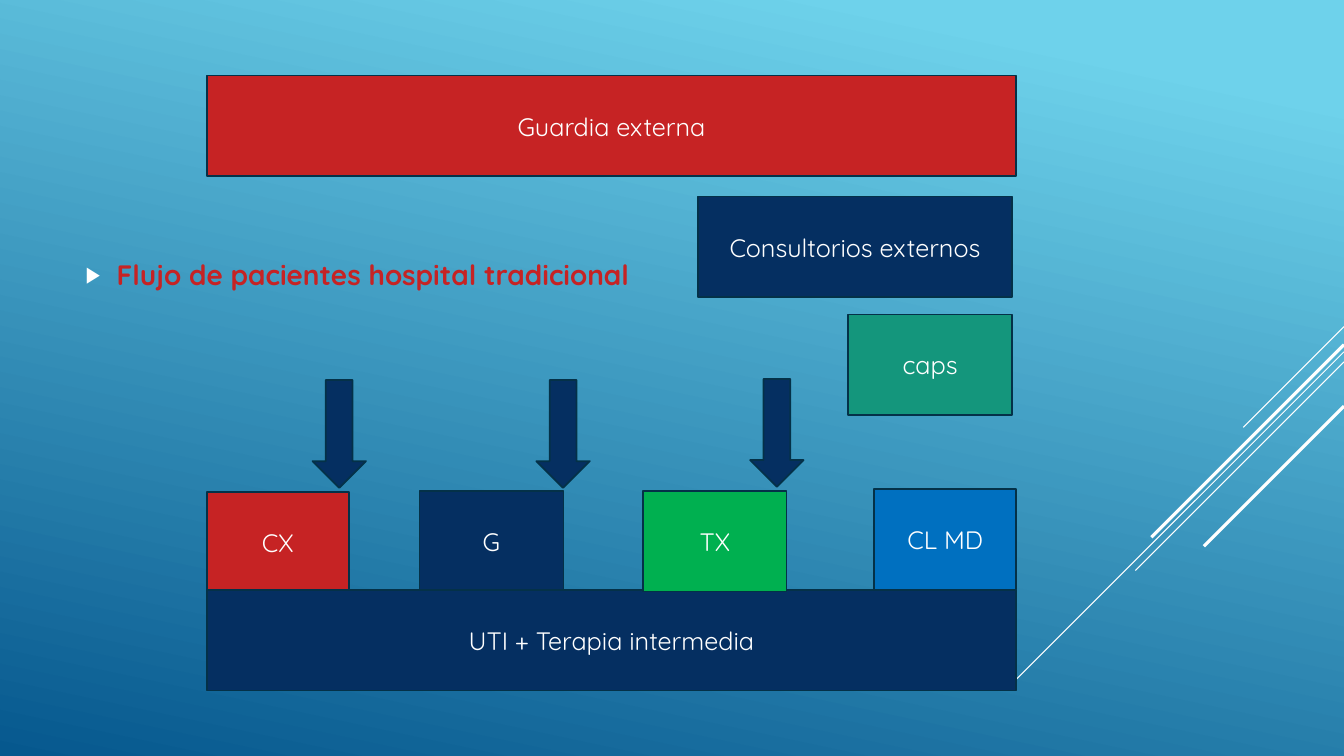
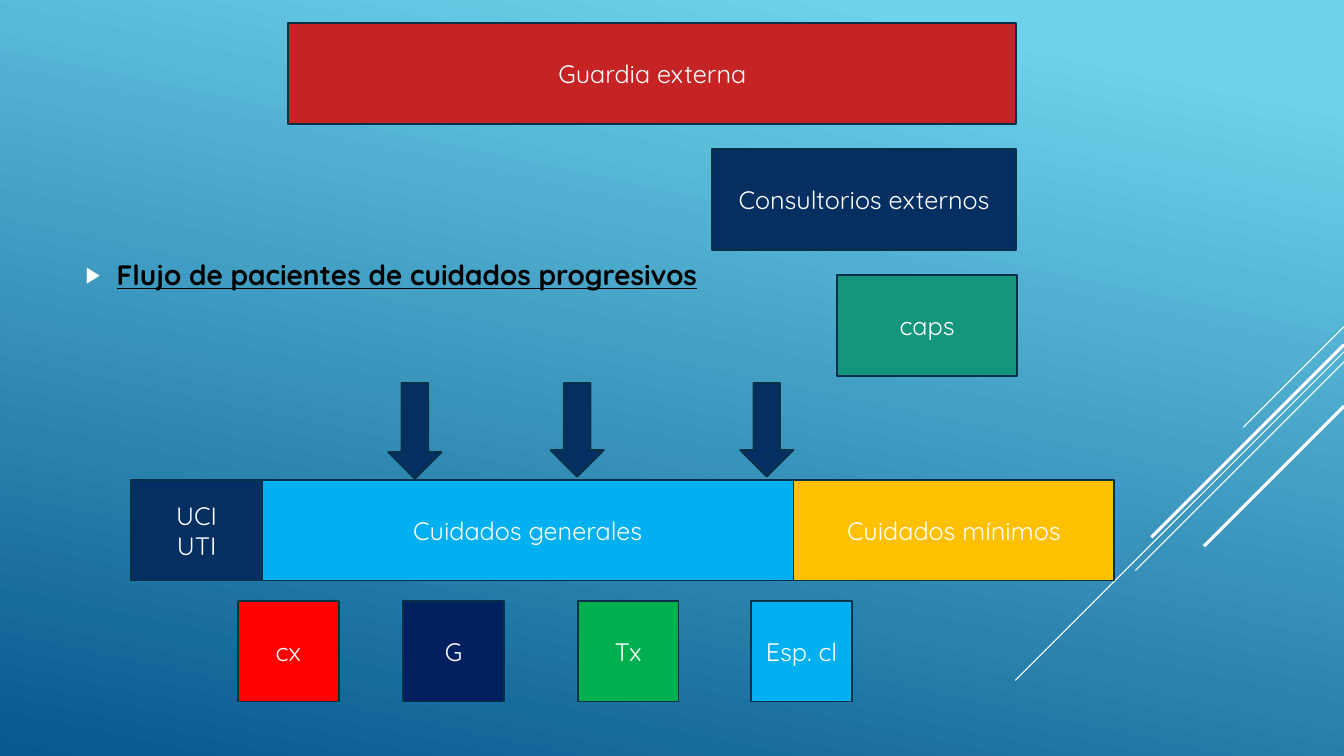
from lxml import etree
from pptx import Presentation
from pptx.dml.color import RGBColor
from pptx.enum.shapes import MSO_CONNECTOR, MSO_SHAPE
from pptx.enum.text import MSO_ANCHOR, PP_ALIGN
from pptx.oxml.ns import qn
from pptx.util import Inches, Pt

COLORS = {
    "sky": "6ED2EB", "deep": "06588E", "white": "FFFFFF", "black": "000000",
    "outline": "043148", "navy": "052F61", "midnight": "002060",
    "crimson": "C62324", "red": "FF0000", "green": "00B050", "teal": "14967C",
    "blue": "0070C0", "cyan": "00B0F0", "amber": "FFC000",
}
FONT = "Quicksand"
RIGHT_EDGE = 13.33
DIAGONALS = [(3.24, 1, 0.75), (3.49, 3.26, 0.75), (3.59, 2.07, 0.75),
             (3.42, 1.91, 2.25), (4.03, 1.39, 2.25)]
BOX_HEIGHT = 1
ARROW_WIDTH = 0.53


def rgb(name):
    return RGBColor.from_string(COLORS[name])


class Deck:
    def __init__(self):
        self.prs = Presentation()
        self.prs.slide_width = Inches(RIGHT_EDGE)
        self.prs.slide_height = Inches(7.5)
        self.s = None

    def slide(self):
        self.s = self.prs.slides.add_slide(self.prs.slide_layouts[6])
        fill = self.s.background.fill
        fill.gradient()
        fill.gradient_angle = 258
        for stop, (pos, color) in zip(fill.gradient_stops, [(0.1, "sky"), (1, "deep")]):
            stop.position = pos
            stop.color.rgb = rgb(color)
        for top, length, width in DIAGONALS:
            self.line(RIGHT_EDGE, top, RIGHT_EDGE - length, top + length, width)

    def line(self, x1, y1, x2, y2, width):
        ln = self.s.shapes.add_connector(
            MSO_CONNECTOR.STRAIGHT, Inches(x1), Inches(y1), Inches(x2), Inches(y2))
        ln.line.color.rgb = rgb("white")
        ln.line.width = Pt(width)
        etree.SubElement(ln._element.spPr, qn("a:effectLst"))

    def run(self, p, text, color, **style):
        r = p.add_run()
        r.text = text
        r.font.color.rgb = rgb(color)
        for name, value in {"name": FONT, **style}.items():
            setattr(r.font, name, value)

    def heading(self, text, color, underline=None):
        tf = self.s.shapes.add_textbox(
            Inches(0.75), Inches(0.75), Inches(9.33), Inches(3.95)).text_frame
        tf.word_wrap = True
        tf.vertical_anchor = MSO_ANCHOR.MIDDLE
        p = tf.paragraphs[0]
        pPr = p._p.get_or_add_pPr()
        pPr.set("marL", str(Inches(0.31)))
        pPr.set("indent", str(-Inches(0.31)))
        bullet_color = etree.SubElement(pPr, qn("a:buClr"))
        etree.SubElement(bullet_color, qn("a:srgbClr"), val=COLORS["white"])
        etree.SubElement(pPr, qn("a:buSzPct"), val="80000")
        etree.SubElement(pPr, qn("a:buFont"), typeface="Arial")
        etree.SubElement(pPr, qn("a:buChar"), char="▶")
        p.space_after = Pt(6)
        self.run(p, text, color, size=Pt(20), bold=True, underline=underline)

    def shape(self, kind, left, top, width, height, color):
        sp = self.s.shapes.add_shape(
            kind, Inches(left), Inches(top), Inches(width), Inches(height))
        sp.shadow.inherit = False
        sp.fill.solid()
        sp.fill.fore_color.rgb = rgb(color)
        sp.line.color.rgb = rgb("outline")
        sp.line.width = Pt(1.25)
        return sp

    def box(self, text, left, top, width, color):
        sp = self.shape(MSO_SHAPE.RECTANGLE, left, top, width, BOX_HEIGHT, color)
        tf = sp.text_frame
        tf.word_wrap = True
        tf.vertical_anchor = MSO_ANCHOR.MIDDLE
        for i, line in enumerate(text.split("\n")):
            p = tf.add_paragraph() if i else tf.paragraphs[0]
            p.alignment = PP_ALIGN.CENTER
            self.run(p, line, "white", size=Pt(18))

    def arrow(self, left, top, height):
        self.shape(MSO_SHAPE.DOWN_ARROW, left, top, ARROW_WIDTH, height, "navy")


def traditional_flow(deck):
    deck.slide()
    deck.heading("Flujo de pacientes hospital tradicional", "crimson")
    for box in [
        ("Guardia externa", 2.05, 0.75, 8.03, "crimson"),
        ("CX", 2.05, 4.88, 1.41, "crimson"),
        ("G", 4.16, 4.87, 1.43, "navy"),
        ("CL MD", 8.67, 4.85, 1.41, "blue"),
        ("UTI + Terapia intermedia", 2.05, 5.85, 8.03, "navy"),
        ("TX", 6.38, 4.87, 1.42, "green"),
        ("Consultorios externos", 6.92, 1.95, 3.12, "navy"),
        ("caps", 8.41, 3.12, 1.63, "teal"),
    ]:
        deck.box(*box)
    for left, top in [(3.1, 3.77), (5.32, 3.77), (7.44, 3.76)]:
        deck.arrow(left, top, 1.07)


def progressive_flow(deck):
    deck.slide()
    deck.heading("Flujo de pacientes de cuidados progresivos", "black", underline=True)
    for text, left, color in [("cx", 2.36, "red"), ("G", 4, "midnight"),
                              ("Tx", 5.73, "green"), ("Esp. cl", 7.45, "cyan")]:
        deck.box(text, left, 5.96, 1, color)
    for box in [
        ("Guardia externa", 2.86, 0.23, 7.22, "crimson"),
        ("Consultorios externos", 7.06, 1.48, 3.02, "navy"),
        ("caps", 8.3, 2.73, 1.79, "teal"),
    ]:
        deck.box(*box)
    for left, height in [(3.85, 0.95), (5.46, 0.93), (7.34, 0.93)]:
        deck.arrow(left, 3.8, height)
    left = 1.3
    for text, width, color in [("UCI\nUTI", 1.3, "navy"),
                               ("Cuidados generales", 5.27, "cyan"),
                               ("Cuidados mínimos", 3.18, "amber")]:
        deck.box(text, left, 4.76, width, color)
        left += width


def main():
    deck = Deck()
    traditional_flow(deck)
    progressive_flow(deck)
    deck.prs.save("out.pptx")


if __name__ == "__main__":
    main()
